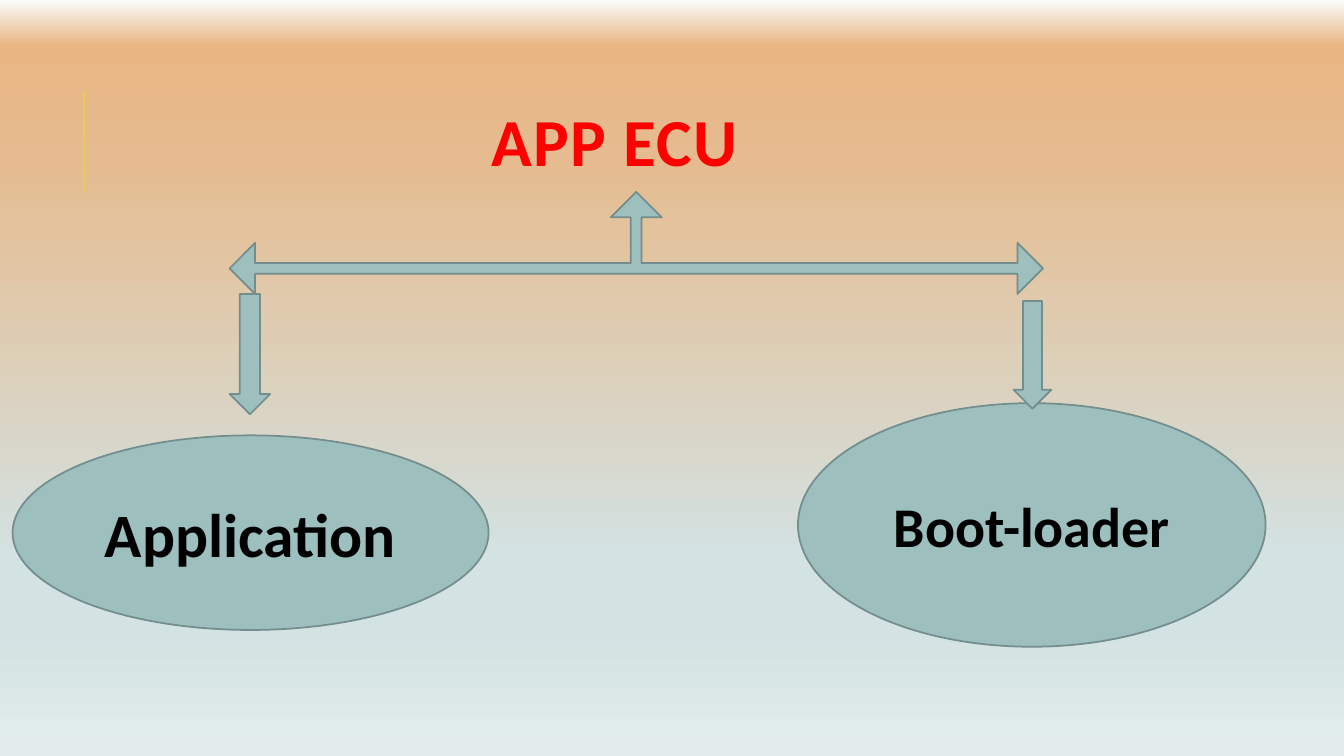
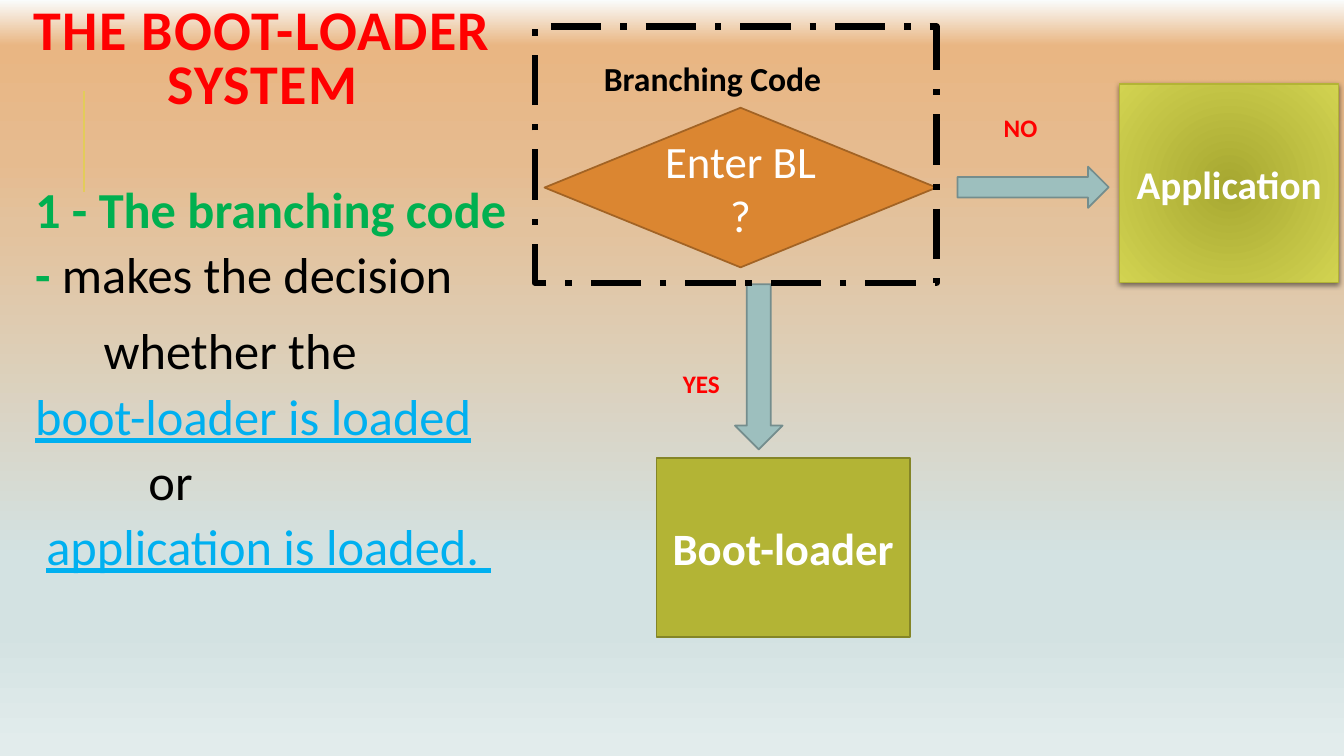
from lxml.etree import SubElement
from pptx import Presentation
from pptx.dml.color import RGBColor
from pptx.enum.dml import MSO_LINE
from pptx.enum.shapes import MSO_CONNECTOR, MSO_SHAPE
from pptx.enum.text import MSO_ANCHOR, PP_ALIGN
from pptx.oxml.ns import qn
from pptx.util import Pt

FONT = "Calibri"
RED, BLACK, WHITE = "FF0000", "000000", "FFFFFF"
GREEN, SKY = "00B050", "00B0F0"
TEAL, TEAL_LINE = "9DBFBE", "748D8D"
ORANGE, ORANGE_LINE = "DB8631", "A26324"
OLIVE, OLIVE_LINE = "B3B435", "848527"
YELLOW = "E3CC5A"
BACKGROUND_STOPS = [(0, "FAFCFC"), (6, "E9B683"), (21, "E6BB8F"), (30, "E3C29D"),
                    (74, "D3E2E2"), (83, "D3E2E2"), (99, "E2ECEC")]
GLOW_STOPS = [(0, "A7A831"), (100, "D2D351")]


def color(hex_value):
    return RGBColor.from_string(hex_value)


# Shared helpers
def set_gradient_stops(element, stops):
    stop_list = next(element.iter(qn("a:gsLst")))
    for old_stop in list(stop_list):
        stop_list.remove(old_stop)
    for percent, hex_value in stops:
        stop = SubElement(stop_list, qn("a:gs"), pos=str(percent * 1000))
        SubElement(stop, qn("a:srgbClr"), val=hex_value)


def format_font(run, size, hex_value, bold=False, underline=False):
    font = run.font
    font.name, font.size = FONT, Pt(size)
    font.bold, font.underline = bold, underline
    font.color.rgb = color(hex_value)


def write_text(shape, text, size, hex_value, bold=True):
    text_frame = shape.text_frame
    text_frame.word_wrap = True
    text_frame.vertical_anchor = MSO_ANCHOR.MIDDLE
    text_frame.text = text
    for paragraph in text_frame.paragraphs:
        paragraph.alignment = PP_ALIGN.CENTER
        for run in paragraph.runs:
            format_font(run, size, hex_value, bold)


def add_label(slide, left, top, width, height, text, size, hex_value):
    label = slide.shapes.add_textbox(Pt(left), Pt(top), Pt(width), Pt(height))
    write_text(label, text, size, hex_value)


def add_block(slide, kind, left, top, width, height, fill=TEAL, line=TEAL_LINE,
              line_width=1.25):
    shape = slide.shapes.add_shape(kind, Pt(left), Pt(top), Pt(width), Pt(height))
    shape.shadow.inherit = False
    if fill:
        shape.fill.solid()
        shape.fill.fore_color.rgb = color(fill)
    else:
        shape.fill.background()
    shape.line.color.rgb = color(line)
    shape.line.width = Pt(line_width)
    return shape


def add_glow(shape):
    """Circular gradient fill with a soft shadow below."""
    shape.fill.gradient()
    set_gradient_stops(shape.element, GLOW_STOPS)
    linear = next(shape.element.iter(qn("a:lin")))
    gradient = linear.getparent()
    gradient.remove(linear)
    circle = SubElement(gradient, qn("a:path"), path="circle")
    SubElement(circle, qn("a:fillToRect"), l="50000", t="50000", r="50000", b="50000")
    effects = shape.element.spPr.find(qn("a:effectLst"))
    shadow = SubElement(effects, qn("a:outerShdw"), blurRad=str(Pt(4)), dist=str(Pt(1)),
                        dir="5400000", rotWithShape="0")
    shade = SubElement(shadow, qn("a:srgbClr"), val=BLACK)
    SubElement(shade, qn("a:alpha"), val="50000")


# Background and title, shared by both slides
def set_background(presentation):
    master = presentation.slide_master
    fill = master.background.fill
    fill.gradient()
    fill.gradient_angle = 270
    set_gradient_stops(master.element, BACKGROUND_STOPS)


def add_titled_slide(presentation, text, size, left, top, width, height):
    slide = presentation.slides.add_slide(presentation.slide_layouts[5])
    accent = slide.shapes.add_connector(MSO_CONNECTOR.STRAIGHT, Pt(60), Pt(137), Pt(60), Pt(65))
    accent.line.color.rgb = color(YELLOW)
    accent.line.width = Pt(1.5)
    SubElement(accent.element.spPr, qn("a:effectLst"))

    title = slide.shapes.title
    title.left, title.top, title.width, title.height = Pt(left), Pt(top), Pt(width), Pt(height)
    write_text(title, text, size, RED)
    paragraph = title.text_frame.paragraphs[0]
    paragraph.line_spacing = 0.8
    for run in paragraph.runs:
        run.font._element.set("spc", "100")
    return slide


# Tree: one unit that splits into two parts
def add_tree(slide, left, top):
    boot_loader = add_block(slide, MSO_SHAPE.OVAL, left + 561, top + 151, 334, 174)
    write_text(boot_loader, "Boot-loader", 40, BLACK)
    application = add_block(slide, MSO_SHAPE.OVAL, left, top + 174, 340, 139)
    write_text(application, "Application", 44, BLACK)

    fork = add_block(slide, MSO_SHAPE.LEFT_RIGHT_UP_ARROW, left + 155, top, 581, 73)
    for index, value in enumerate((0.105, 0.25, 0.25)):
        fork.adjustments[index] = value
    add_block(slide, MSO_SHAPE.DOWN_ARROW, left + 155, top + 73, 29, 86)
    add_block(slide, MSO_SHAPE.DOWN_ARROW, left + 715, top + 78, 27, 77)


# Explanation: each line has an indent, space before and formatted parts
def add_explanation(slide, left, top, width, height):
    lines = [
        (0, 0, [("1 - The branching code", GREEN, True, False)]),
        (0, 0, [("- ", GREEN, True, False), ("makes the decision", BLACK, False, False)]),
        (49, 8, [("whether the", BLACK, False, False)]),
        (0, 0, [("boot-loader is loaded", SKY, False, True)]),
        (81, 0, [("or", BLACK, False, False)]),
        (8, 0, [("application is loaded. ", SKY, False, True)]),
    ]
    text_frame = slide.shapes.add_textbox(Pt(left), Pt(top), Pt(width), Pt(height)).text_frame
    text_frame.word_wrap = True
    for index, (indent, space, parts) in enumerate(lines):
        paragraph = text_frame.add_paragraph() if index else text_frame.paragraphs[0]
        paragraph.line_spacing = 1.08
        paragraph.space_before = Pt(space)
        paragraph._p.get_or_add_pPr().set("marL", str(Pt(indent)))
        for text, hex_value, bold, underline in parts:
            run = paragraph.add_run()
            run.text = text
            format_font(run, 36, hex_value, bold, underline)


# Flow chart: the decision and its two outcomes
def add_flow_chart(slide, left, top):
    add_label(slide, left + 27, top + 22, 200, 30, "Branching Code", 24, BLACK)
    decision = add_block(slide, MSO_SHAPE.FLOWCHART_DECISION, left + 7, top + 58, 280, 114,
                         ORANGE, ORANGE_LINE)
    write_text(decision, "Enter BL\n?", 32, WHITE, bold=False)

    application = add_block(slide, MSO_SHAPE.RECTANGLE, left + 418, top + 41, 156, 142,
                            OLIVE, OLIVE, 0.75)
    add_glow(application)
    write_text(application, "Application", 28, WHITE)
    boot_loader = add_block(slide, MSO_SHAPE.RECTANGLE, left + 87, top + 308, 181, 128,
                            OLIVE, OLIVE_LINE)
    write_text(boot_loader, "Boot-loader", 32, WHITE)

    add_block(slide, MSO_SHAPE.DOWN_ARROW, left + 143, top + 184, 34, 118)
    add_block(slide, MSO_SHAPE.RIGHT_ARROW, left + 302, top + 100, 108, 29.5)
    frame = add_block(slide, MSO_SHAPE.RECTANGLE, left, top, 287, 183, None, BLACK, 4.5)
    frame.line.dash_style = MSO_LINE.LONG_DASH_DOT
    add_label(slide, left + 311, top + 36, 72, 72, "NO", 18, RED)
    add_label(slide, left + 83, top + 219, 72, 72, "YES", 18, RED)


def main():
    presentation = Presentation()
    presentation.slide_width, presentation.slide_height = Pt(960), Pt(540)
    set_background(presentation)

    unit_slide = add_titled_slide(presentation, "APP ECU", 48, 115, 37, 648, 137)
    add_tree(unit_slide, 9, 137)

    system_slide = add_titled_slide(presentation, "THE BOOT-LOADER SYSTEM", 40, 0, 4, 375, 80)
    add_explanation(system_slide, 18, 120, 365, 310)
    add_flow_chart(system_slide, 382, 19)

    presentation.save("out.pptx")


if __name__ == "__main__":
    main()
